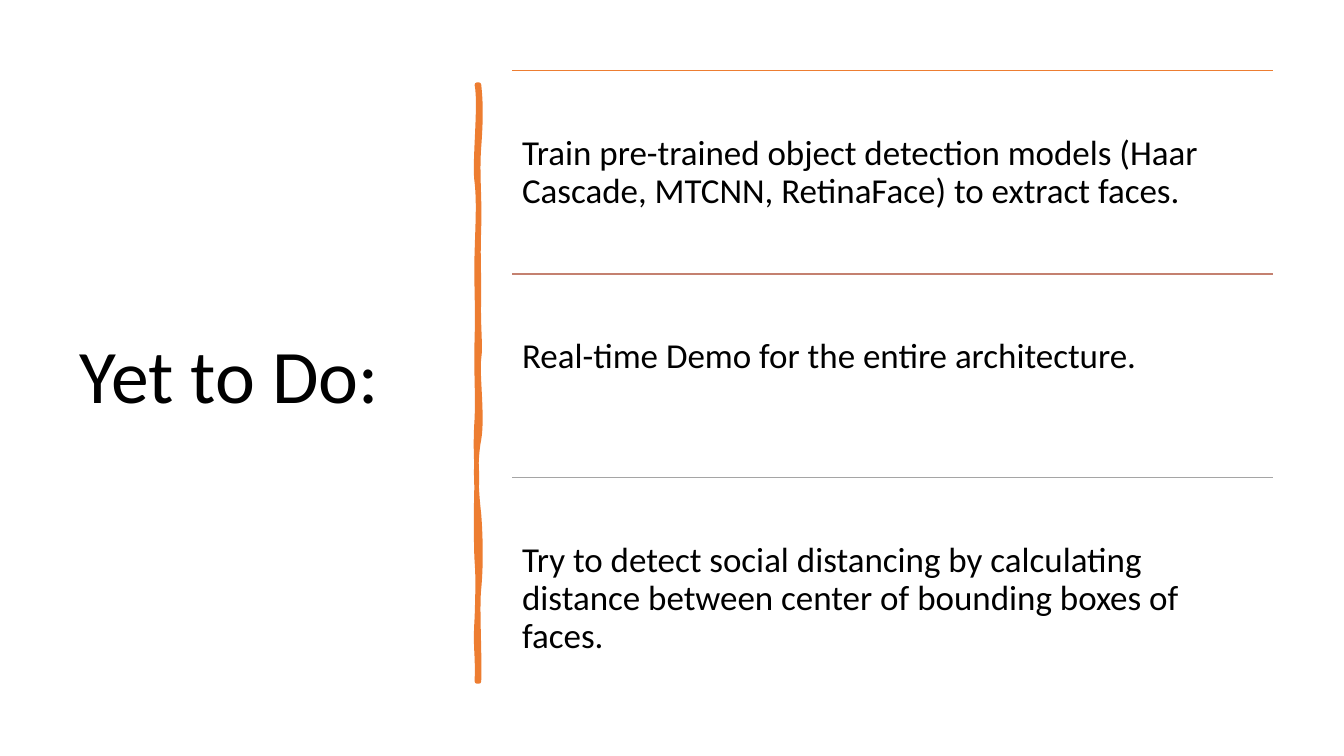
from dataclasses import dataclass

from lxml import etree
from pptx import Presentation
from pptx.dml.color import RGBColor
from pptx.enum.shapes import MSO_CONNECTOR
from pptx.enum.text import MSO_ANCHOR, MSO_AUTO_SIZE, PP_ALIGN
from pptx.oxml.ns import qn
from pptx.util import Inches, Pt


@dataclass(frozen=True)
class Theme:
    font: str = "Calibri"
    text: RGBColor = RGBColor(0x00, 0x00, 0x00)
    orange: RGBColor = RGBColor(0xED, 0x7D, 0x31)
    clay: RGBColor = RGBColor(0xC4, 0x81, 0x70)
    gray: RGBColor = RGBColor(0xA5, 0xA5, 0xA5)
    title_size: int = 54
    task_size: int = 25
    line_spacing: float = 0.9
    rule_width: float = 1
    stroke_width: float = 3.25


THEME = Theme()
TITLE_ONLY_LAYOUT = 5

TASKS = [
    ("Train pre-trained object detection models (Haar Cascade, MTCNN, RetinaFace) "
     "to extract faces.", THEME.orange),
    ("Real-time Demo for the entire architecture.", THEME.clay),
    ("Try to detect social distancing by calculating distance between center of "
     "bounding boxes of faces.", THEME.gray),
]
TASK_LEFT, TASK_TOP = 5.08, 0.7
TASK_WIDTH, TASK_HEIGHT = 7.55, 2.02

# Hand-drawn divider: start point, then two control points and an end per curve.
BRUSH_START = (4.75, 0.84)
BRUSH_CURVES = [
    ((4.77, 1.02), (4.77, 1.19), (4.75, 1.46)),
    ((4.73, 1.73), (4.76, 1.95), (4.75, 2.26)),
    ((4.74, 2.57), (4.75, 2.62), (4.75, 2.94)),
    ((4.74, 3.25), (4.77, 3.42), (4.75, 3.56)),
    ((4.73, 3.7), (4.79, 4.14), (4.75, 4.36)),
    ((4.71, 4.57), (4.72, 4.84), (4.75, 5.1)),
    ((4.77, 5.36), (4.77, 5.64), (4.75, 5.84)),
    ((4.73, 6.03), (4.76, 6.5), (4.75, 6.76)),
    ((4.74, 6.76), (4.73, 6.76), (4.73, 6.76)),
    ((4.74, 6.46), (4.71, 6.44), (4.73, 6.13)),
    ((4.74, 5.83), (4.74, 5.7), (4.73, 5.57)),
    ((4.72, 5.44), (4.72, 4.95), (4.73, 4.77)),
    ((4.73, 4.59), (4.71, 4.45), (4.73, 4.15)),
    ((4.74, 3.86), (4.72, 3.73), (4.73, 3.35)),
    ((4.74, 2.98), (4.72, 2.81), (4.73, 2.5)),
    ((4.74, 2.18), (4.75, 2), (4.73, 1.81)),
    ((4.7, 1.63), (4.77, 1.04), (4.73, 0.84)),
    ((4.74, 0.84), (4.74, 0.84), (4.75, 0.84)),
]


def bend_segments(shape, curves):
    """Turn each straight segment of a freeform into the matching cubic curve."""
    segments = list(shape._element.iter(qn("a:lnTo")))
    for segment, curve in zip(segments, curves):
        bend = etree.Element(qn("a:cubicBezTo"))
        for x, y in curve:
            etree.SubElement(bend, qn("a:pt"), x=str(Inches(x) - shape.left),
                             y=str(Inches(y) - shape.top))
        segment.getparent().replace(segment, bend)


class SlideBuilder:
    def __init__(self, slide, theme):
        self.slide = slide
        self.theme = theme

    def style_text(self, text_frame, text, size, anchor):
        text_frame.text = text
        text_frame.word_wrap = True
        text_frame.auto_size = MSO_AUTO_SIZE.NONE
        text_frame.vertical_anchor = anchor
        paragraph = text_frame.paragraphs[0]
        paragraph.alignment = PP_ALIGN.LEFT
        paragraph.line_spacing = self.theme.line_spacing
        paragraph.font.name = self.theme.font
        paragraph.font.size = Pt(size)
        paragraph.font.color.rgb = self.theme.text

    def add_title(self, text, left, top, width, height):
        title = self.slide.shapes.title
        title.left, title.top = Inches(left), Inches(top)
        title.width, title.height = Inches(width), Inches(height)
        self.style_text(title.text_frame, text, self.theme.title_size, MSO_ANCHOR.MIDDLE)

    def add_brush_stroke(self, start, curves):
        builder = self.slide.shapes.build_freeform(*map(Inches, start))
        ends = [tuple(map(Inches, end)) for _, _, end in curves]
        builder.add_line_segments(ends, close=True)
        shape = builder.convert_to_shape()
        bend_segments(shape, curves)
        shape.shadow.inherit = False
        shape.fill.solid()
        shape.fill.fore_color.rgb = self.theme.orange
        shape.line.color.rgb = self.theme.orange
        shape.line.width = Pt(self.theme.stroke_width)

    def add_rule(self, left, top, width, color):
        rule = self.slide.shapes.add_connector(
            MSO_CONNECTOR.STRAIGHT,
            Inches(left), Inches(top), Inches(left + width), Inches(top))
        rule.line.color.rgb = color
        rule.line.width = Pt(self.theme.rule_width)
        etree.SubElement(rule._element.spPr, qn("a:effectLst"))

    def add_task(self, text, left, top, width, height):
        box = self.slide.shapes.add_textbox(
            Inches(left), Inches(top), Inches(width), Inches(height))
        text_frame = box.text_frame
        text_frame.margin_left = text_frame.margin_right = Inches(0.1)
        text_frame.margin_top, text_frame.margin_bottom = Inches(0.64), Inches(0.1)
        self.style_text(text_frame, text, self.theme.task_size, MSO_ANCHOR.TOP)


def main():
    presentation = Presentation()
    presentation.slide_width, presentation.slide_height = Inches(13.33), Inches(7.5)
    slide = presentation.slides.add_slide(presentation.slide_layouts[TITLE_ONLY_LAYOUT])
    builder = SlideBuilder(slide, THEME)

    builder.add_title("Yet to Do:", 0.69, 0.7, 3.74, 6.11)
    builder.add_brush_stroke(BRUSH_START, BRUSH_CURVES)
    for index, (text, color) in enumerate(TASKS):
        top = TASK_TOP + index * TASK_HEIGHT
        builder.add_rule(TASK_LEFT, top, TASK_WIDTH, color)
        builder.add_task(text, TASK_LEFT, top, TASK_WIDTH, TASK_HEIGHT)

    presentation.save("out.pptx")


if __name__ == "__main__":
    main()
